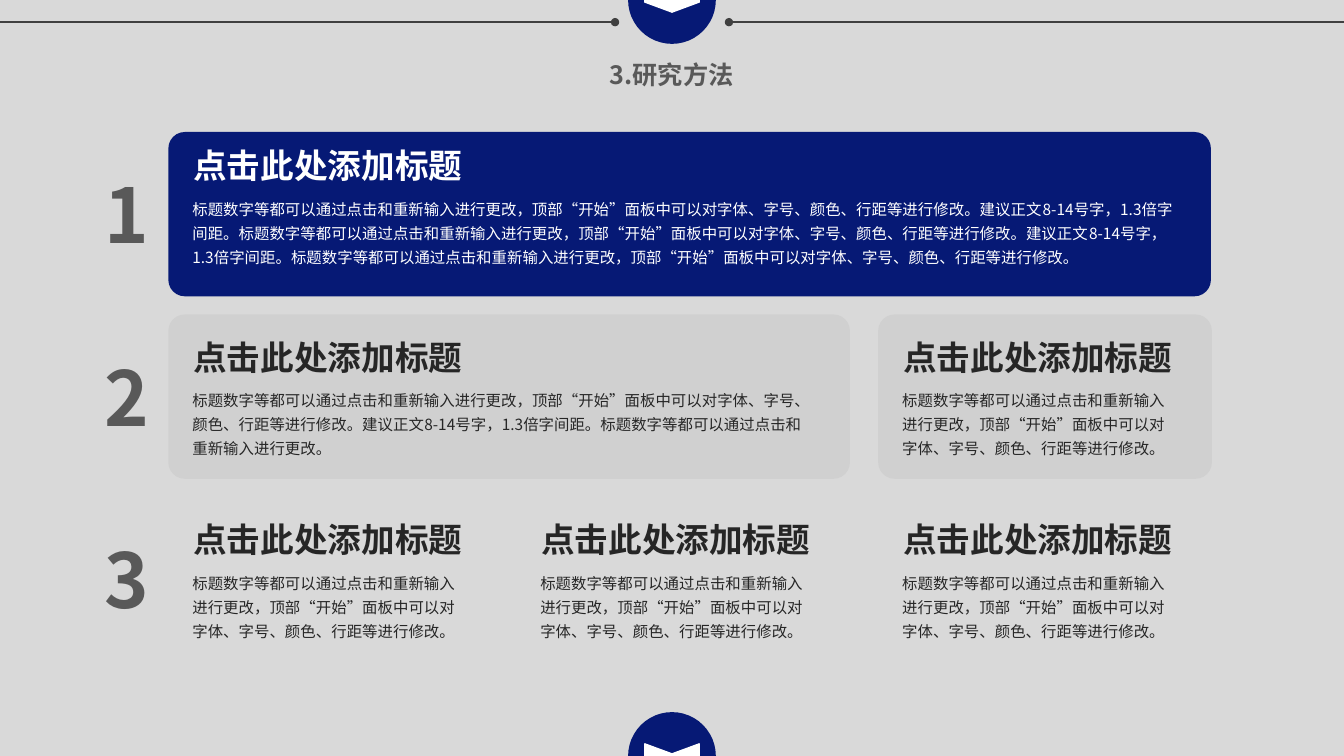
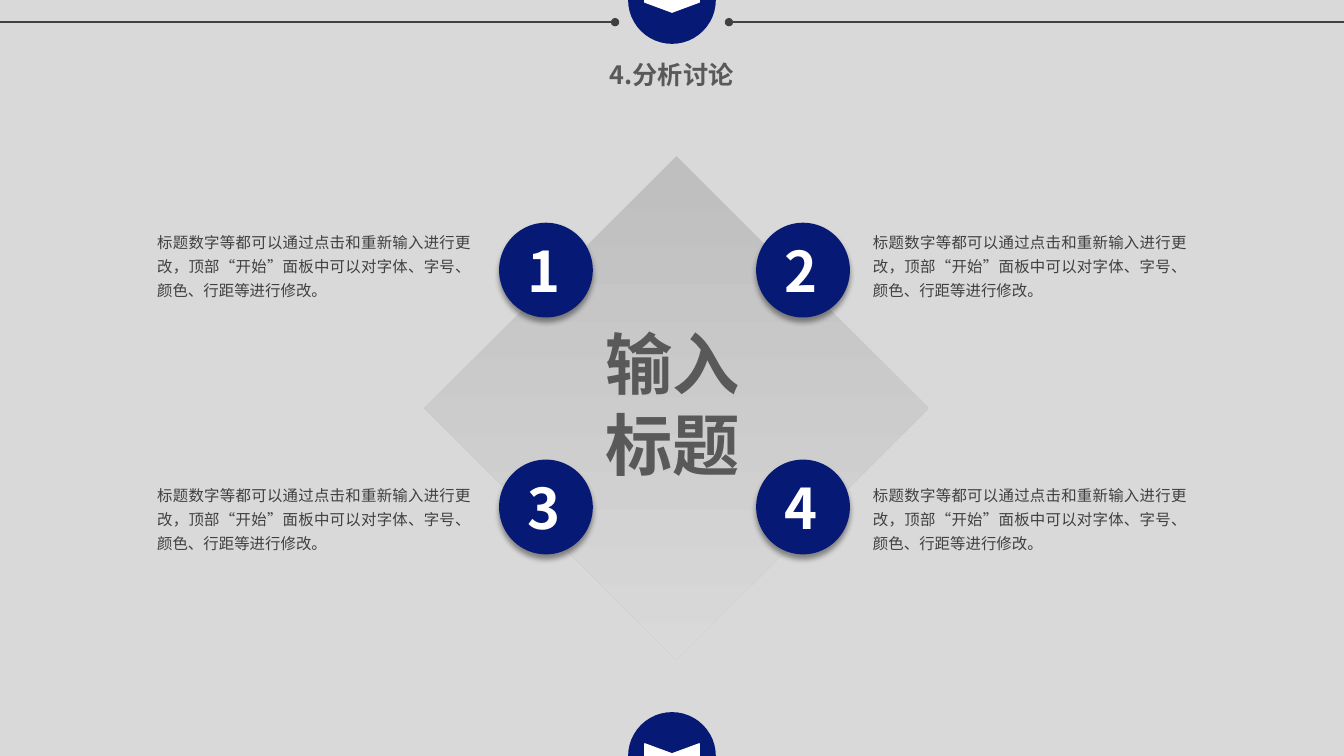
from lxml import etree
from pptx import Presentation
from pptx.dml.color import RGBColor
from pptx.enum.lang import MSO_LANGUAGE_ID
from pptx.enum.shapes import MSO_CONNECTOR, MSO_SHAPE
from pptx.enum.text import MSO_ANCHOR, MSO_AUTO_SIZE, PP_ALIGN
from pptx.oxml import parse_xml
from pptx.oxml.ns import nsdecls, qn
from pptx.util import Inches, Pt

FONT = "Noto Sans CJK SC"
COLORS = {
    "background": "D9D9D9",
    "accent": "061975",
    "card": "D0D0D0",
    "diamond": "BFBFBF",
    "white": "FFFFFF",
    "dark": "262626",
    "body": "404040",
    "heading": "595959",
}
SLIDE_WIDTH, SLIDE_HEIGHT = 13.33, 7.5

# Text styles: font attributes, colour and paragraph attributes
TITLE = {"font": {"size": Pt(18), "bold": True}, "color": "heading",
         "paragraph": {"alignment": PP_ALIGN.CENTER}}
ROW_NUMBER = {"font": {"size": Pt(54), "bold": True}, "color": "heading"}
CARD_TITLE = {"font": {"size": Pt(24), "bold": True}}
CARD_BODY = {"font": {"size": Pt(11), "bold": False},
             "paragraph": {"line_spacing": 1.3}}
CIRCLE_NUMBER = {"font": {"size": Pt(40), "bold": True}, "color": "white",
                 "paragraph": {"alignment": PP_ALIGN.CENTER}}
CENTER_TITLE = {"font": {"size": Pt(48), "bold": True}, "color": "heading"}
POINT_BODY = {"font": {"size": Pt(11), "bold": False}, "color": "body",
              "paragraph": {"line_spacing": 1.3, "alignment": PP_ALIGN.JUSTIFY}}

# Wording
HEADING = "点击此处添加标题"
SENTENCE = "标题数字等都可以通过点击和重新输入进行更改"
SHORT_TEXT = SENTENCE + "，顶部“开始”面板中可以对字体、字号、颜色、行距等进行修改。"
ADVICE = "建议正文8-14号字，1.3倍字间距。"
MEDIUM_TEXT = SHORT_TEXT + ADVICE + SENTENCE + "。"
LONG_TEXT = (SHORT_TEXT + ADVICE) * 2 + SHORT_TEXT


def rgb(name):
    return RGBColor.from_string(COLORS[name])


def set_attributes(target, values):
    for name, value in values.items():
        setattr(target, name, value)


def box(left, top, width, height):
    return [Inches(value) for value in (left, top, width, height)]


def write_text(text_frame, lines, style, color=None):
    for index, line in enumerate(lines):
        paragraph = text_frame.paragraphs[0] if index == 0 else text_frame.add_paragraph()
        set_attributes(paragraph, style.get("paragraph", {}))
        run = paragraph.add_run()
        run.text = line
        set_attributes(run.font, {"name": FONT, **style["font"],
                                  "language_id": MSO_LANGUAGE_ID.SIMPLIFIED_CHINESE})
        run.font.color.rgb = rgb(color or style["color"])
        east_asian = etree.SubElement(run.font._element, qn("a:ea"))
        east_asian.set("typeface", FONT)


def add_text(slide, position, lines, style, color=None, wrap=True):
    text_frame = slide.shapes.add_textbox(*box(*position)).text_frame
    set_attributes(text_frame, {"word_wrap": wrap,
                                "auto_size": MSO_AUTO_SIZE.SHAPE_TO_FIT_TEXT})
    write_text(text_frame, lines, style, color)


def add_shape(slide, kind, position, color):
    shape = slide.shapes.add_shape(kind, *box(*position))
    shape.shadow.inherit = False
    shape.fill.solid()
    shape.fill.fore_color.rgb = rgb(color)
    shape.line.fill.background()
    return shape


# Shared frame: title, header lines and badges
def add_header_line(slide, start, end):
    y = Inches(0.22)
    connector = slide.shapes.add_connector(
        MSO_CONNECTOR.STRAIGHT, Inches(start), y, Inches(end), y)
    connector.line.width = Pt(1.25)
    connector.line.color.rgb = rgb("body")
    line = connector.line._get_or_add_ln()
    etree.SubElement(line, qn("a:tailEnd")).set("type", "oval")
    etree.SubElement(connector.element.spPr, qn("a:effectLst"))


def add_badge(slide, center_y):
    center_x, diameter = SLIDE_WIDTH / 2, 0.87
    width, height = 0.24, 0.54
    add_shape(slide, MSO_SHAPE.OVAL, (center_x - diameter / 2, center_y - diameter / 2,
                                      diameter, diameter), "accent")
    chevron = add_shape(slide, MSO_SHAPE.CHEVRON, (center_x - width / 2, center_y - height / 2,
                                                   width, height), "white")
    chevron.adjustments[0] = 0.415
    chevron.rotation = 90
    chevron.line.width = Pt(1)
    chevron.line.color.rgb = rgb("white")


def add_framed_slide(presentation, title_text):
    slide = presentation.slides.add_slide(presentation.slide_layouts.get_by_name("Title Only"))
    title = slide.shapes.title
    left, top, width, height = box(5.5, 0.54, 2.32, 0.4)
    set_attributes(title, {"left": left, "top": top, "width": width, "height": height})
    set_attributes(title.text_frame, {"word_wrap": True, "vertical_anchor": MSO_ANCHOR.TOP,
                                      "auto_size": MSO_AUTO_SIZE.SHAPE_TO_FIT_TEXT})
    write_text(title.text_frame, [title_text], TITLE)
    gap = 0.565
    add_header_line(slide, 0, SLIDE_WIDTH / 2 - gap)
    add_header_line(slide, SLIDE_WIDTH, SLIDE_WIDTH / 2 + gap)
    for center_y in (0, SLIDE_HEIGHT):
        add_badge(slide, center_y)
    return slide


# Methods slide: numbered rows of cards
def add_card(slide, position, fill, text, body_width, text_color="dark", padding=0.17):
    left, top, width, height = position
    card = add_shape(slide, MSO_SHAPE.ROUNDED_RECTANGLE, position, fill)
    card.adjustments[0] = 0.1
    add_text(slide, (left + 0.15, top + padding, 3.16, 0.5), [HEADING], CARD_TITLE, text_color)
    add_text(slide, (left + 0.14, top + padding + 0.49, body_width, 0.82), [text],
             CARD_BODY, text_color)


def build_methods_slide(presentation):
    slide = add_framed_slide(presentation, "3.研究方法")
    columns = (1.67, 5.12, 8.71)
    narrow, medium, wide = 3.31, 6.76, 10.34
    row_height = 1.63
    row_tops = [1.31 + 1.81 * row for row in range(3)]
    first, second, third = row_tops

    for number, top in enumerate(row_tops, start=1):
        add_text(slide, (0.94, top + 0.31, 0.55, 1.01), [str(number)], ROW_NUMBER)

    add_card(slide, (columns[0], first, wide, row_height), "accent", LONG_TEXT, 10,
             text_color="white", padding=0.08)
    add_card(slide, (columns[0], second, medium, row_height), "card", MEDIUM_TEXT, 6.25)
    add_card(slide, (columns[2], second, narrow, row_height), "card", SHORT_TEXT, 2.85)
    for left in columns:
        add_card(slide, (left, third, narrow, row_height), "background", SHORT_TEXT, 2.85)


# Discussion slide: diamond with four numbered points
def add_diamond(slide, left, top, size):
    diamond = add_shape(slide, MSO_SHAPE.DIAMOND, (left, top, size, size), "diamond")
    diamond.fill.gradient()
    diamond.fill.gradient_angle = 270
    stops = ((0.03, "diamond"), (1, "background"))
    for stop, (position, color) in zip(diamond.fill.gradient_stops, stops):
        stop.position = position
        stop.color.rgb = rgb(color)
    add_text(slide, (left + 1.7, top + 1.6, 1.55, 1.72), ["输入", "标题"],
             CENTER_TITLE, wrap=False)


def add_numbered_circle(slide, left, top, number):
    circle = add_shape(slide, MSO_SHAPE.OVAL, (left, top, 0.93, 0.94), "accent")
    circle.element.spPr.find(qn("a:effectLst")).append(parse_xml(
        f'<a:outerShdw {nsdecls("a")} blurRad="{Pt(4)}" dist="{Pt(3)}" dir="5400000" '
        'algn="t" rotWithShape="0"><a:srgbClr val="000000"><a:alpha val="40000"/>'
        '</a:srgbClr></a:outerShdw>'))
    set_attributes(circle.text_frame, {
        "margin_left": 0, "margin_right": Inches(0.04), "margin_top": 0, "margin_bottom": 0,
        "word_wrap": False, "vertical_anchor": MSO_ANCHOR.MIDDLE})
    write_text(circle.text_frame, [str(number)], CIRCLE_NUMBER)


def build_discussion_slide(presentation):
    slide = add_framed_slide(presentation, "4.分析讨论")
    add_diamond(slide, 4.21, 1.55, 5)
    circle_and_text_lefts = ((4.95, 1.46), (7.5, 8.56))
    circle_and_text_tops = ((2.21, 2.21), (4.56, 4.72))
    points = [(x, y) for y in circle_and_text_tops for x in circle_and_text_lefts]
    for number, ((circle_left, text_left), (circle_top, text_top)) in enumerate(points, start=1):
        add_numbered_circle(slide, circle_left, circle_top, number)
        add_text(slide, (text_left, text_top, 3.31, 0.87), [SHORT_TEXT], POINT_BODY)


def main():
    presentation = Presentation()
    set_attributes(presentation, {"slide_width": Inches(SLIDE_WIDTH),
                                  "slide_height": Inches(SLIDE_HEIGHT)})
    background = presentation.slide_master.background.fill
    background.solid()
    background.fore_color.rgb = rgb("background")
    build_methods_slide(presentation)
    build_discussion_slide(presentation)
    presentation.save("out.pptx")


if __name__ == "__main__":
    main()
